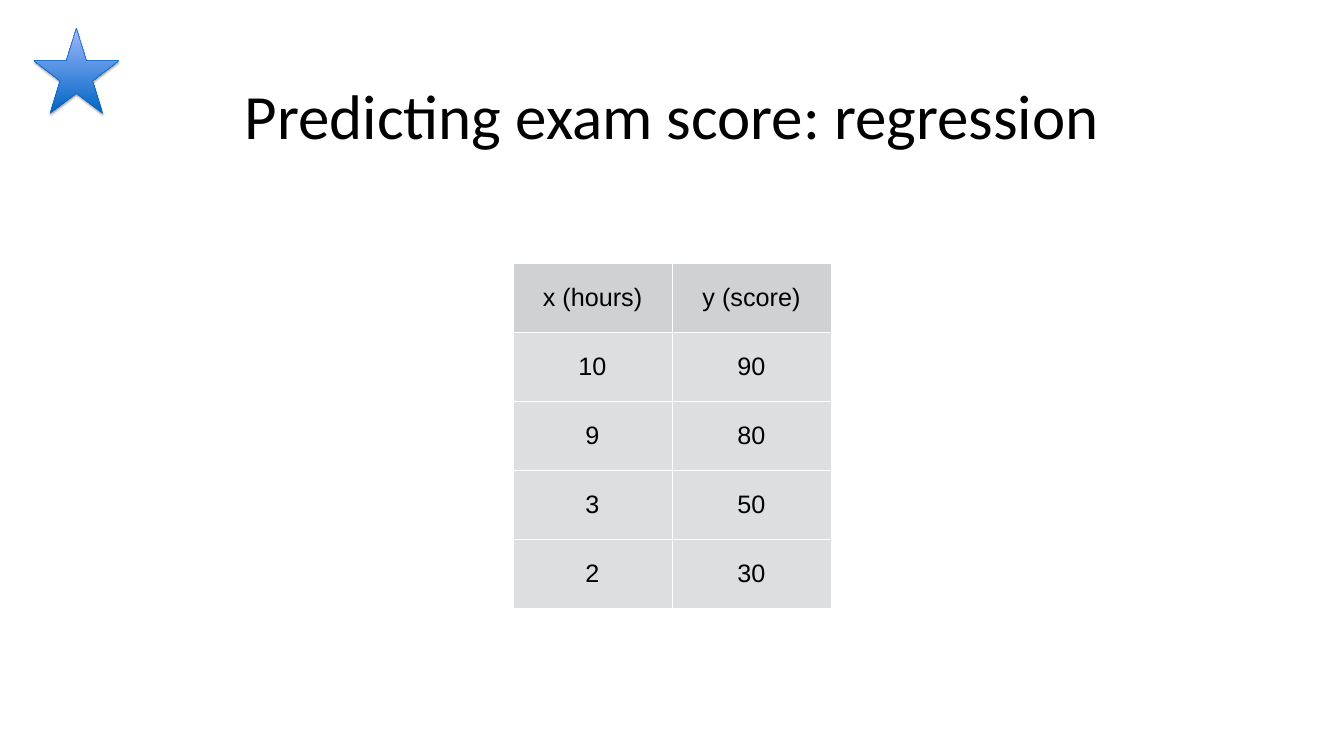
from lxml.etree import SubElement
from pptx import Presentation
from pptx.dml.color import RGBColor
from pptx.enum.shapes import MSO_SHAPE
from pptx.enum.text import MSO_ANCHOR, PP_ALIGN
from pptx.oxml import parse_xml
from pptx.oxml.ns import nsdecls, qn
from pptx.util import Inches, Pt


def rgb(code):
    return RGBColor.from_string(code)


def edges(gap):
    sides = ("left", "right", "top", "bottom")
    return {f"margin_{side}": Inches(gap) for side in sides}


class Deck:
    title_font = {"name": "Calibri", "size": Pt(90)}
    cell_font = {"name": "Arial", "size": Pt(36)}
    ink, head, body, rule = "000000", "D0D1D2", "DCDEE0", "FFFFFF"

    def __init__(self, wide, high):
        self.prs = Presentation()
        self.prs.slide_width, self.prs.slide_height = Inches(wide), Inches(high)
        self.slide = self.prs.slides.add_slide(self.prs.slide_layouts[6])

    def apply(self, item, values):
        for key, value in values.items():
            setattr(item, key, value)

    def label(self, frame, text, font):
        frame.text = text
        para = frame.paragraphs[0]
        para.alignment = PP_ALIGN.CENTER
        run = para.runs[0]
        self.apply(run.font, font)
        run.font.color.rgb = rgb(self.ink)

    def title(self, text, *box):
        frame = self.slide.shapes.add_textbox(*map(Inches, box)).text_frame
        self.apply(frame, {"word_wrap": True,
                           "vertical_anchor": MSO_ANCHOR.MIDDLE, **edges(0.08)})
        self.label(frame, text, self.title_font)

    def border(self, cell):
        props = cell._tc.get_or_add_tcPr()
        for at, side in enumerate(("lnL", "lnR", "lnT", "lnB")):
            line = parse_xml(f'<a:{side} {nsdecls("a")} w="{Pt(1)}"/>')
            fill = SubElement(line, qn("a:solidFill"))
            SubElement(fill, qn("a:srgbClr"), val=self.rule)
            props.insert(at, line)

    def table(self, rows, *box):
        size = len(rows), len(rows[0])
        table = self.slide.shapes.add_table(*size, *map(Inches, box)).table
        for r, row in enumerate(rows):
            for c, text in enumerate(row):
                cell = table.cell(r, c)
                self.apply(cell, {"vertical_anchor": MSO_ANCHOR.MIDDLE,
                                  **edges(0.06)})
                self.label(cell.text_frame, text, self.cell_font)
                cell.fill.solid()
                cell.fill.fore_color.rgb = rgb(self.body if r else self.head)
                self.border(cell)

    def star(self, colors, line, *box):
        star = self.slide.shapes.add_shape(MSO_SHAPE.STAR_5_POINT,
                                           *map(Inches, box))
        star.fill.gradient()
        star.fill.gradient_angle = 90
        for stop, code in zip(star.fill.gradient_stops, colors):
            stop.color.rgb = rgb(code)
        star.line.color.rgb = rgb(line)
        star.line.width = Pt(0.75)
        self.shade(star)

    def shade(self, shape):
        shape.shadow.inherit = False
        effects = shape._element.spPr.find(qn("a:effectLst"))
        shade = SubElement(effects, qn("a:outerShdw"), blurRad=str(Pt(3.1)),
                           dist=str(Pt(1.8)), dir="5400000", rotWithShape="0")
        color = SubElement(shade, qn("a:srgbClr"), val=self.ink)
        SubElement(color, qn("a:alpha"), val="35000")


def main():
    deck = Deck(26.67, 15)

    # Heading
    deck.title("Predicting exam score: regression", -0.02, 0.39, 26.71, 3.75)

    # Study hours and exam scores
    rows = [("x (hours)", "y (score)"),
            ("10", "90"), ("9", "80"), ("3", "50"), ("2", "30")]
    deck.table(rows, 10.18, 5.23, 6.31, 6.85)

    # Corner star, dark at the foot and light at the top
    deck.star(("0065C3", "A0B8FF"), "0063BF", 0.67, 0.56, 1.69, 1.69)

    deck.prs.save("out.pptx")


if __name__ == "__main__":
    main()
